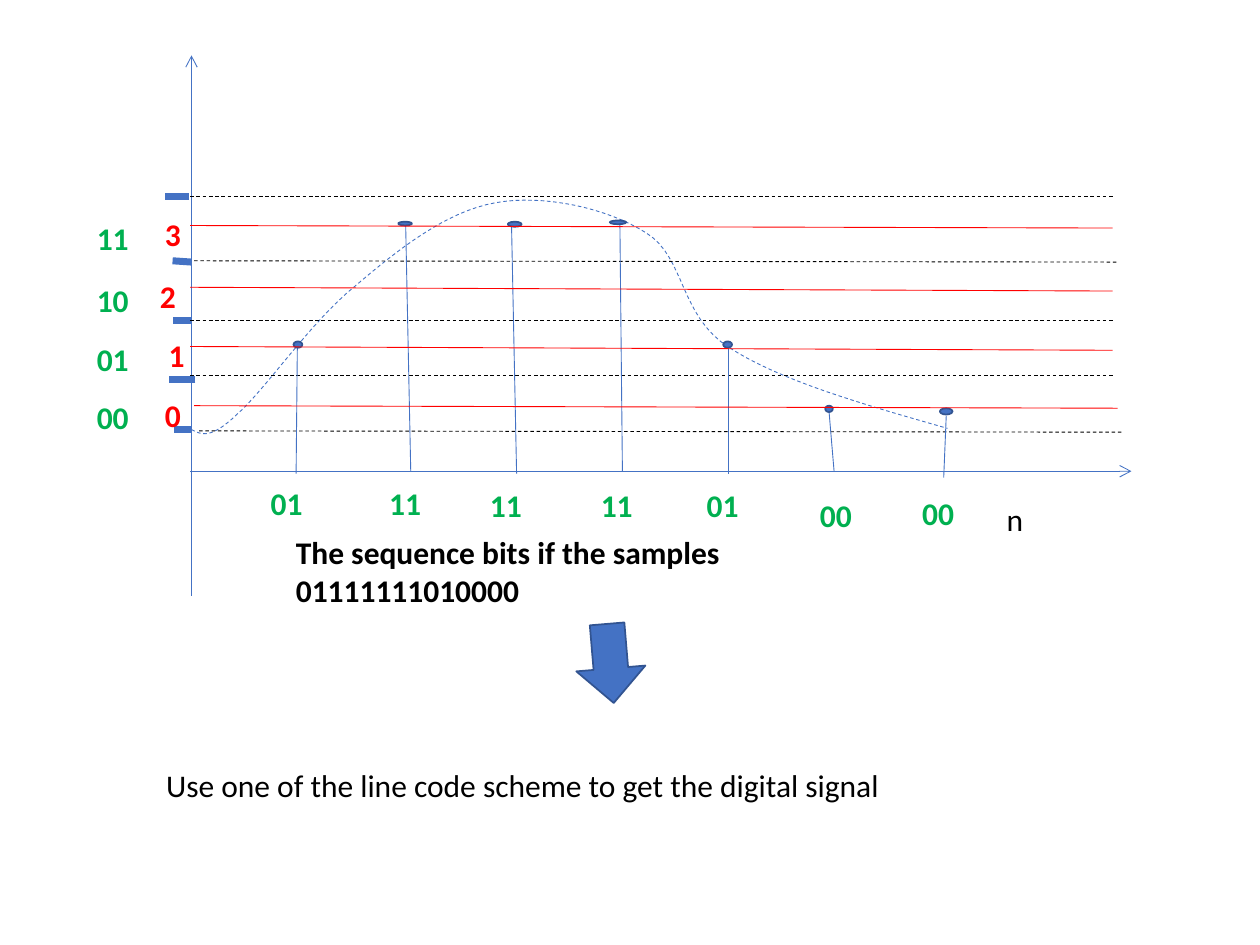
from lxml.etree import SubElement
from pptx import Presentation
from pptx.dml.color import RGBColor
from pptx.enum.dml import MSO_LINE
from pptx.enum.shapes import MSO_CONNECTOR, MSO_SHAPE
from pptx.enum.text import MSO_AUTO_SIZE
from pptx.oxml.ns import qn
from pptx.util import Pt

SCALE = 9144
COLORS = {
    "blue": "4472C4",
    "edge": "325491",
    "red": "FF0000",
    "green": "00B050",
    "black": "000000",
}
CURVE_START = (102, 301)
CURVE_PIECES = [
    ((110, 305), (117, 309), (138, 289)),
    ((160, 270), (197, 215), (232, 187)),
    ((266, 158), (304, 128), (343, 121)),
    ((381, 114), (432, 125), (463, 145)),
    ((494, 164), (489, 211), (529, 236)),
    ((569, 262), (635, 281), (702, 300)),
]
BOUNDARIES = [
    ((108, 302, 840, 303), (102, 301, 88, 301)),
    ((101, 258, 833, 258), (105, 261, 84, 261)),
    ((101, 214, 833, 214), (102, 214, 87, 214)),
    ((104, 167, 837, 168), (102, 168, 87, 167)),
    ((101, 116, 833, 116), (100, 116, 81, 116)),
]
LEVELS = [
    ("0", "00", (104, 282, 837, 284), (71, 269), 271),
    ("1", "01", (101, 235, 833, 238), (74, 222), 225),
    ("2", "10", (101, 188, 833, 191), (67, 175), 178),
    ("3", "11", (101, 139, 833, 141), (71, 126), 129),
]
SAMPLES = [
    ("01", (185, 336, 186, 235), (183, 231, 7, 5), (155, 339)),
    ("11", (276, 334, 272, 139), (266, 136, 11, 3), (249, 339)),
    ("11", (360, 336, 356, 139), (353, 136, 11, 4), (329, 341)),
    ("11", (444, 334, 442, 136), (434, 135, 13, 3), (417, 341)),
    ("01", (528, 336, 528, 236), (524, 231, 7, 5), (501, 341)),
    ("00", (612, 334, 608, 287), (605, 282, 6, 5), (591, 349)),
    ("00", (699, 339, 701, 290), (696, 284, 10, 5), (672, 347)),
]


def px(value):
    return round(value * SCALE)


def rgb(name):
    return RGBColor.from_string(COLORS[name])


def place(origin, points):
    return [px(value + origin[index % 2]) for index, value in enumerate(points)]


def add_line(shapes, origin, ends, color, width=0.5, dashed=False, arrow=False):
    line = shapes.add_connector(MSO_CONNECTOR.STRAIGHT, *place(origin, ends))
    line.line.color.rgb = rgb(color)
    line.line.width = Pt(width)
    if dashed:
        line.line.dash_style = MSO_LINE.DASH
    if arrow:
        SubElement(line.line._get_or_add_ln(), qn("a:tailEnd"), type="arrow")
    SubElement(line._element.spPr, qn("a:effectLst"))


def add_solid(shapes, kind, origin, box):
    left, top, width, height = box
    corner = place(origin, (left, top))
    shape = shapes.add_shape(kind, *corner, px(width), px(height))
    shape.shadow.inherit = False
    shape.fill.solid()
    shape.fill.fore_color.rgb = rgb("blue")
    shape.line.color.rgb = rgb("edge")
    shape.line.width = Pt(1)
    return shape


def add_text(shapes, origin, box, text, color, bold=True):
    left, top, width, height = box
    corner = place(origin, (left, top))
    frame = shapes.add_textbox(*corner, px(width), px(height)).text_frame
    frame.word_wrap = True
    frame.auto_size = MSO_AUTO_SIZE.SHAPE_TO_FIT_TEXT
    span = frame.paragraphs[0].add_run()
    span.text = text
    span.font.name = "Calibri"
    span.font.size = Pt(18)
    span.font.bold = bold
    span.font.color.rgb = rgb(color)


def bezier_points(start, pieces, steps=16):
    for first, second, end in pieces:
        for step in range(1, steps + 1):
            t = step / steps
            u = 1 - t
            yield tuple(
                u**3 * a + 3 * u**2 * t * b + 3 * u * t**2 * c + t**3 * d
                for a, b, c, d in zip(start, first, second, end)
            )
        start = end


def draw_curve(shapes, origin):
    builder = shapes.build_freeform(*place(origin, CURVE_START))
    points = bezier_points(CURVE_START, CURVE_PIECES)
    builder.add_line_segments([place(origin, point) for point in points], close=False)
    curve = builder.convert_to_shape()
    curve.shadow.inherit = False
    curve.fill.background()
    curve.line.color.rgb = rgb("blue")
    curve.line.width = Pt(0.5)
    curve.line.dash_style = MSO_LINE.DASH


def draw_sampling_chart(page, left, top):
    origin = (left, top)
    shapes = page.shapes.add_group_shape().shapes
    add_line(shapes, origin, (102, 433, 102, 4), "blue", arrow=True)
    add_line(shapes, origin, (101, 334, 848, 334), "blue", arrow=True)
    draw_curve(shapes, origin)
    for boundary, tick in BOUNDARIES:
        add_line(shapes, origin, tick, "blue", width=4)
        add_line(shapes, origin, boundary, "black", dashed=True)
    for code, stem, dot, label in SAMPLES:
        add_line(shapes, origin, stem, "blue")
        add_solid(shapes, MSO_SHAPE.FLOWCHART_CONNECTOR, origin, dot)
        add_text(shapes, origin, (*label, 57, 27), code, "green")
    for number, code, line, label, code_top in LEVELS:
        add_line(shapes, origin, line, "red")
        add_text(shapes, origin, (*label, 28, 27), number, "red")
        add_text(shapes, origin, (17, code_top, 57, 27), code, "green")
    add_text(shapes, origin, (739, 352, 78, 27), "n", "black", bold=False)
    sentence = "The sequence bits if the samples 01111111010000"
    add_text(shapes, origin, (175, 378, 524, 27), sentence, "black")


def draw_conclusion(page, left, top):
    origin = (left, top)
    arrow = add_solid(page.shapes, MSO_SHAPE.LEFT_ARROW, origin, (331, 0, 63, 55))
    arrow.rotation = 265.2
    sentence = "Use one of the line code scheme to get the digital signal"
    add_text(page.shapes, origin, (0, 104, 717, 40), sentence, "black", bold=False)


def main():
    deck = Presentation()
    deck.slide_width, deck.slide_height = px(1000), px(750)
    page = deck.slides.add_slide(deck.slide_layouts[6])
    draw_sampling_chart(page, 50, 40)
    draw_conclusion(page, 122, 499)
    deck.save("out.pptx")


if __name__ == "__main__":
    main()
